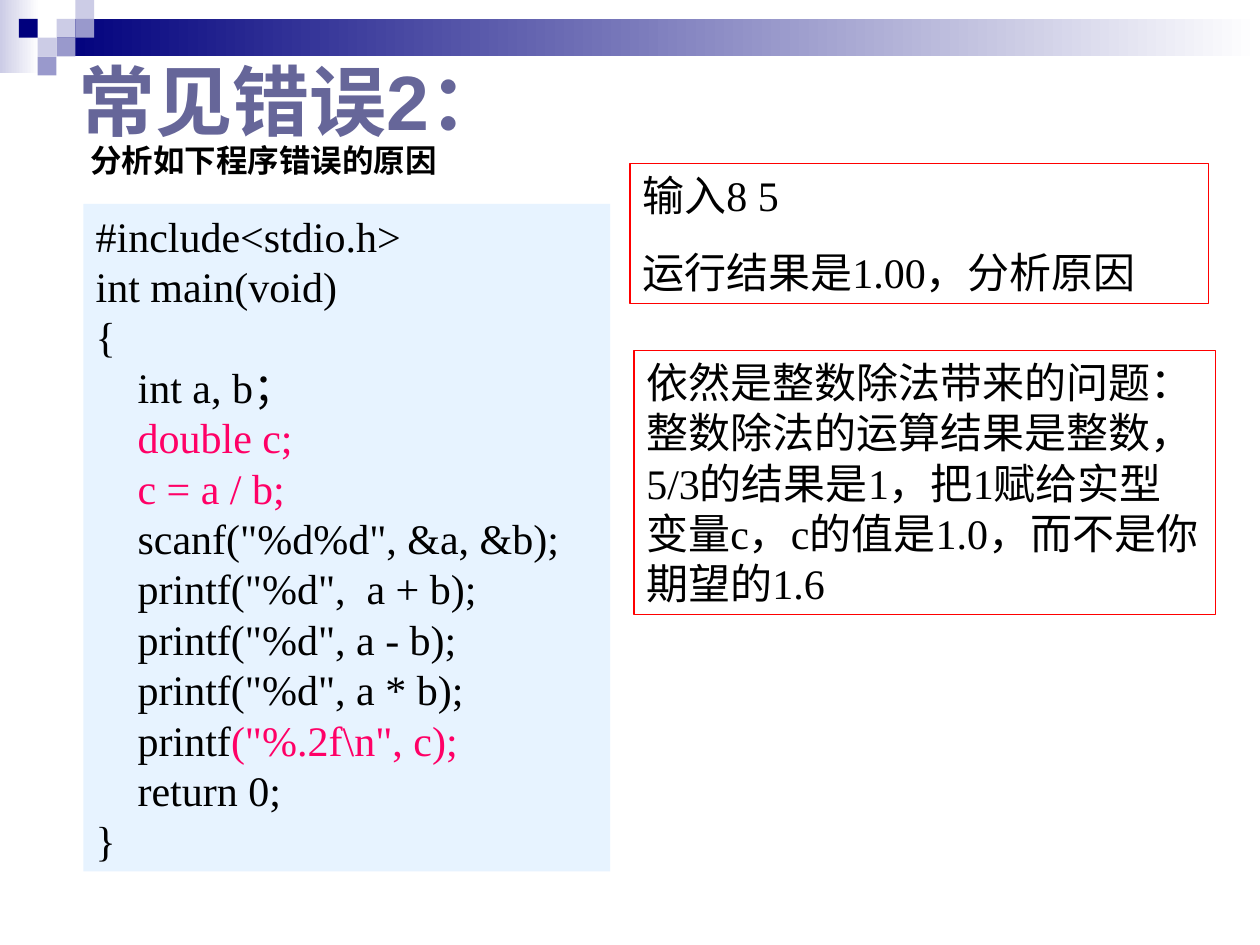
from pptx import Presentation
from pptx.dml.color import RGBColor
from pptx.enum import shapes, text
from pptx.util import Cm, Pt

COLORS = {
    "navy": "00007D", "pale": "CCCCE6", "mid": "9999CC", "white": "FFFFFF",
    "title": "666699", "code": "E7F3FF", "pink": "FF0066",
    "red": "FF0000", "black": "000000",
}
CELL = 0.38
TILES = [
    (3, 1, "pale"), (4, 0, "pale"), (4, 1, "mid"), (2, 2, "pale"),
    (1, 1, "navy"), (3, 2, "mid"), (2, 3, "mid"),
]
CODE = [
    [("#include<stdio.h>", "black")],
    [("int main(void)", "black")],
    [("{", "black")],
    [("    int a, b；", "black")],
    [("    double c;", "pink")],
    [("    c = a / b;", "pink")],
    [('    scanf("%d%d", &a, &b);', "black")],
    [('    printf("%d",  a + b);', "black")],
    [('    printf("%d", a - b);', "black")],
    [('    printf("%d", a * b);', "black")],
    [("    printf", "black"), ('("%.2f\\n", c);', "pink")],
    [("    return 0;", "black")],
    [("}", "black")],
]
INPUT = ["输入8 5", "运行结果是1.00，分析原因"]
REASON = ["依然是整数除法带来的问题：整数除法的运算结果是整数，5/3的结果是1，"
          "把1赋给实型变量c，c的值是1.0，而不是你期望的1.6"]


def color(name):
    return RGBColor.from_string(COLORS[name])


def style(font, size, name="Times New Roman", tint="black", bold=False):
    font.size, font.name, font.bold = Pt(size), name, bold
    font.color.rgb = color(tint)


def add_rect(slide, box, fill=None, line=None):
    rect = slide.shapes.add_shape(
        shapes.MSO_SHAPE.RECTANGLE, *[Cm(n) for n in box])
    rect.shadow.inherit = False
    if fill:
        rect.fill.solid()
        rect.fill.fore_color.rgb = color(fill)
    else:
        rect.fill.background()
    if line:
        rect.line.color.rgb = color(line)
        rect.line.width = Pt(0.75)
    else:
        rect.line.fill.background()
    return rect


def add_fade(slide, box, start):
    rect = add_rect(slide, box)
    rect.fill.gradient()
    rect.fill.gradient_angle = 0
    for stop, place, name in zip(
            rect.fill.gradient_stops, (0, 1), (start, "white")):
        stop.position = place
        stop.color.rgb = color(name)


def add_banner(slide):
    add_fade(slide, (0, 0, 0.79, 1.47), "pale")
    add_fade(slide, (1.14, CELL, 24.26, 2 * CELL), "navy")
    for col, row, fill in TILES:
        add_rect(slide, (col * CELL, row * CELL, CELL, CELL), fill)


def set_title(slide, words):
    title = slide.shapes.title
    title.left, title.top = Cm(1.32), Cm(0.71)
    title.width, title.height = Cm(23.19), Cm(2.59)
    title.text_frame.text = words
    title.text_frame.vertical_anchor = text.MSO_ANCHOR.MIDDLE
    para = title.text_frame.paragraphs[0]
    para.alignment = text.PP_ALIGN.LEFT
    style(para.font, 44, "Arial", "title", True)
    slide.shapes._spTree.append(title._element)


def add_label(slide, box, words):
    label = slide.shapes.add_textbox(*[Cm(n) for n in box])
    label.text_frame.word_wrap = False
    para = label.text_frame.paragraphs[0]
    para.text = words
    style(para.font, 18, bold=True)


def fill_text(rect, lines, gap=0):
    frame = rect.text_frame
    frame.word_wrap = True
    frame.vertical_anchor = text.MSO_ANCHOR.TOP
    for i, line in enumerate(lines):
        para = frame.add_paragraph() if i else frame.paragraphs[0]
        para.alignment = text.PP_ALIGN.LEFT
        para.line_spacing = Pt(28.8)
        para.space_before = Pt(gap if i else 0)
        style(para.font, 24)
        for words, tint in line:
            run = para.add_run()
            run.text = words
            run.font.color.rgb = color(tint)


def add_note(slide, box, lines):
    rect = add_rect(slide, box, line="red")
    fill_text(rect, [[(line, "black")] for line in lines], 15)


def main():
    deck = Presentation()
    deck.slide_width, deck.slide_height = Cm(25.4), Cm(19.05)
    slide = deck.slides.add_slide(deck.slide_layouts[5])
    add_banner(slide)
    set_title(slide, "常见错误2：")
    fill_text(add_rect(slide, (1.68, 4.11, 10.62, 13.46), "code"), CODE)
    add_note(slide, (12.7, 3.3, 11.66, 2.82), INPUT)
    add_note(slide, (12.78, 7.06, 11.73, 5.33), REASON)
    add_label(slide, (1.57, 2.72, 7.49, 1.02), "分析如下程序错误的原因")
    deck.save("out.pptx")


if __name__ == "__main__":
    main()
